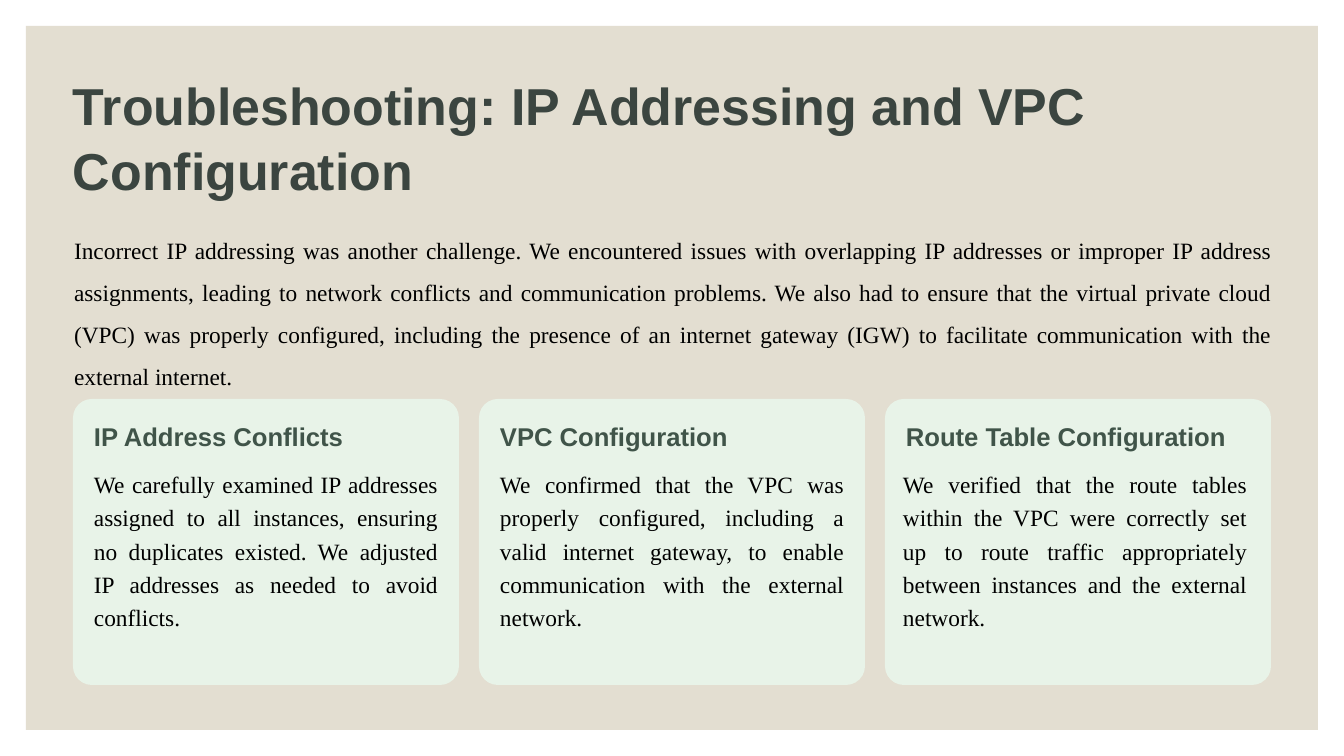
from pptx import Presentation
from pptx import util as u
from pptx.dml.color import RGBColor
from pptx.enum import shapes, text

SAND = RGBColor(0xE3, 0xDE, 0xD1)
MINT = RGBColor(0xE8, 0xF3, 0xE8)
SLATE = RGBColor(0x3B, 0x45, 0x40)
GREEN = RGBColor(0x40, 0x54, 0x49)
BLACK = RGBColor(0, 0, 0)

TITLE = "Troubleshooting: IP Addressing and VPC Configuration"
INTRO = (
    "Incorrect IP addressing was another challenge. We encountered issues with "
    "overlapping IP addresses or improper IP address assignments, leading to network "
    "conflicts and communication problems. We also had to ensure that the virtual "
    "private cloud (VPC) was properly configured, including the presence of an internet "
    "gateway (IGW) to facilitate communication with the external internet."
)
CARDS = [
    ("IP Address Conflicts", 270, 33, 21,
     "We carefully examined IP addresses assigned to all instances, ensuring no "
     "duplicates existed. We adjusted IP addresses as needed to avoid conflicts."),
    ("VPC Configuration", 260, 33, 21,
     "We confirmed that the VPC was properly configured, including a valid internet "
     "gateway, to enable communication with the external network."),
    ("Route Table Configuration", 344, 66, 18,
     "We verified that the route tables within the VPC were correctly set up to route "
     "traffic appropriately between instances and the external network."),
]


class Page:
    heading_font = "Arial"
    body_font = "Times New Roman"

    def __init__(self, deck):
        self.slide = deck.slides.add_slide(deck.slide_layouts[6])

    @staticmethod
    def px(*lengths):
        return [u.Emu(round(length * 914400 / 84)) for length in lengths]

    def panel(self, left, top, width, height, color, rounding=None):
        kind = shapes.MSO_SHAPE.ROUNDED_RECTANGLE if rounding else shapes.MSO_SHAPE.RECTANGLE
        panel = self.slide.shapes.add_shape(kind, *self.px(left, top, width, height))
        if rounding:
            panel.adjustments[0] = rounding
        panel.shadow.inherit = False
        panel.fill.solid()
        panel.fill.fore_color.rgb = color
        panel.line.fill.background()

    def label(self, words, left, top, width, height, size, spacing, color, font, bold, align):
        box = self.slide.shapes.add_textbox(*self.px(left, top, width, height))
        frame = box.text_frame
        frame.margin_left = frame.margin_top = frame.margin_right = frame.margin_bottom = 0
        frame.word_wrap = True
        frame.text = words
        para = frame.paragraphs[0]
        para.line_spacing = spacing
        para.alignment = align
        span = para.runs[0]
        span.font.name = font
        span.font.size = u.Pt(size)
        span.font.bold = bold
        span.font.color.rgb = color

    def heading(self, words, left, top, width, height, size, spacing, color):
        self.label(words, left, top, width, height, size, u.Pt(spacing), color,
                   self.heading_font, True, text.PP_ALIGN.LEFT)

    def body(self, words, left, top, width, height, spacing):
        self.label(words, left, top, width, height, 20, spacing, BLACK,
                   self.body_font, False, text.PP_ALIGN.JUSTIFY)


def main():
    deck = Presentation()
    deck.slide_width = u.Inches(16)
    deck.slide_height = u.Inches(9)
    page = Page(deck)
    page.panel(26, 26, 1292, 704, SAND)
    page.heading(TITLE, 73, 71, 1198, 130, 44.5, 55.5, SLATE)
    page.body(INTRO, 74, 222, 1198, 134, 1.5)
    for index, (name, width, height, indent, words) in enumerate(CARDS):
        left = 73 + 406 * index
        page.panel(left, 399, 386, 286, MINT, 0.066)
        page.heading(name, left + 21, 420, width, height, 22, 27.5, GREEN)
        page.body(words, left + indent, 465, 344, 166, u.Pt(28.5))
    deck.save("out.pptx")


if __name__ == "__main__":
    main()
